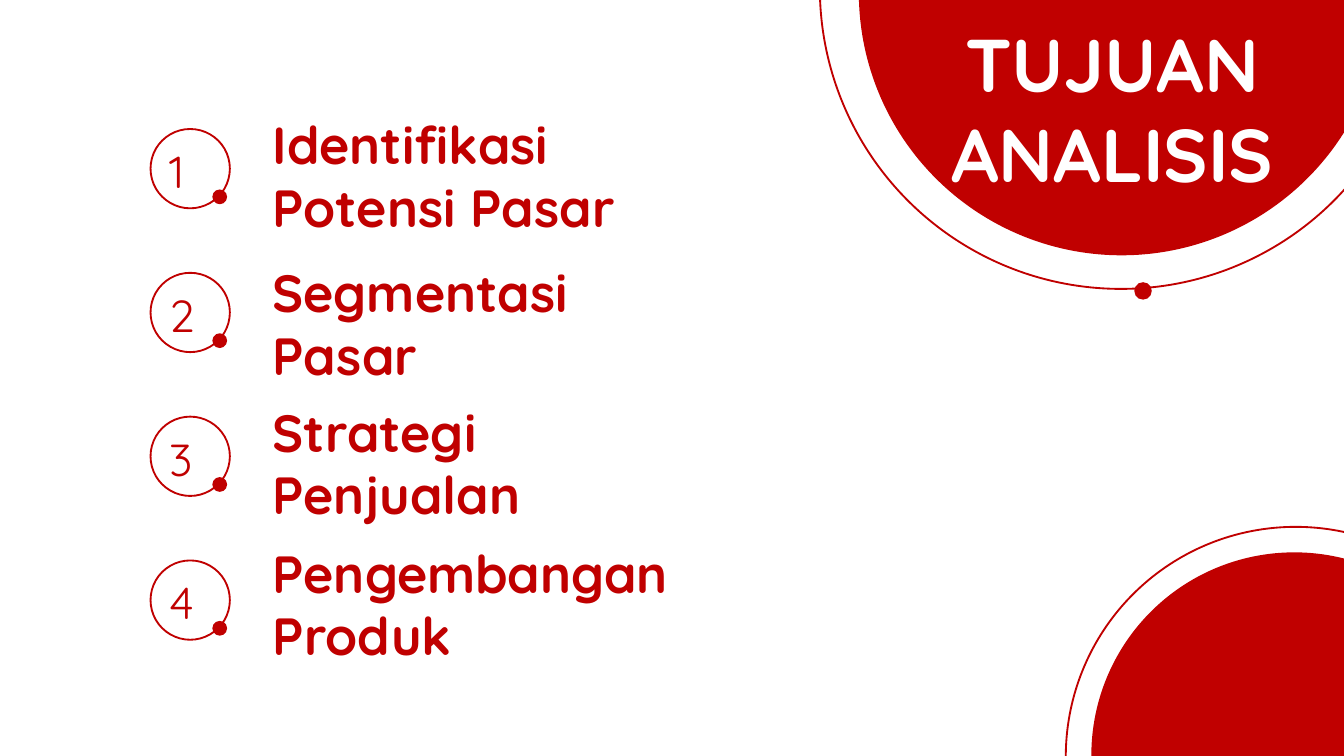
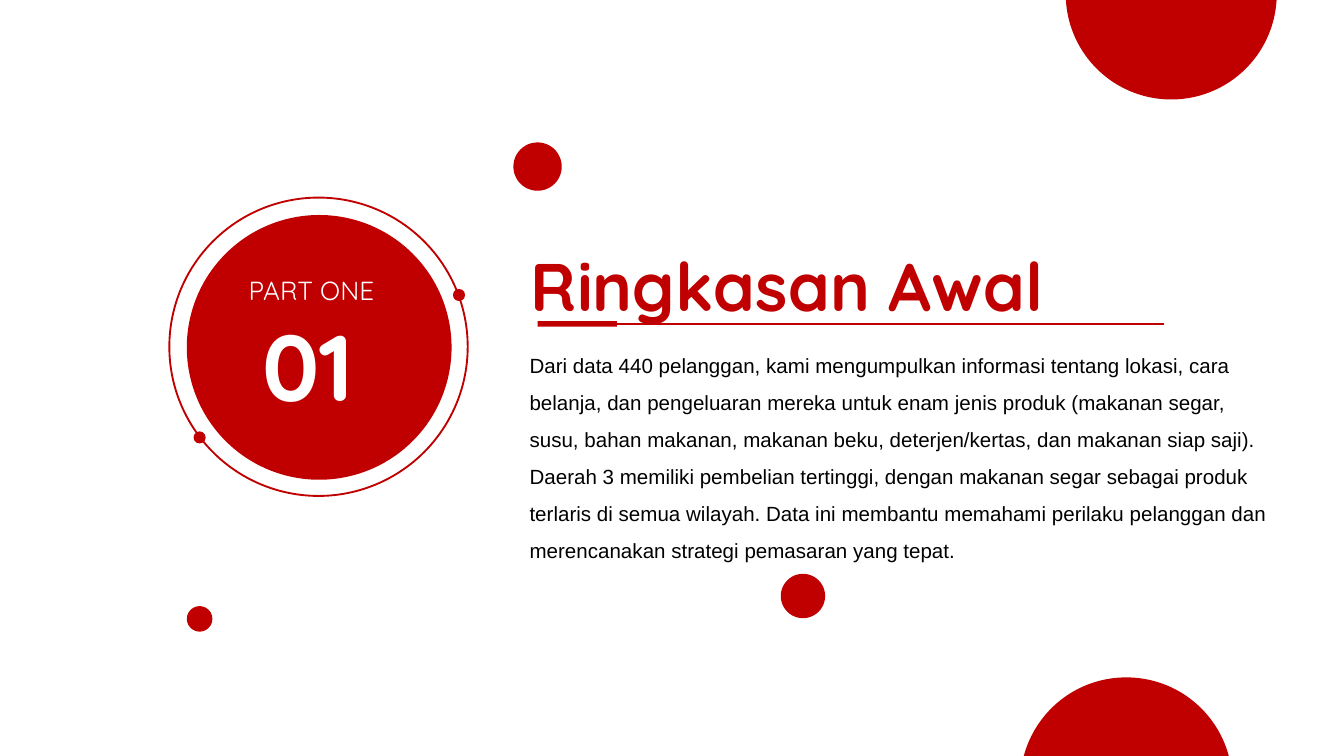
from lxml.etree import SubElement
from pptx import Presentation
from pptx.dml.color import RGBColor
from pptx.enum.shapes import MSO_CONNECTOR, MSO_SHAPE
from pptx.enum.text import MSO_ANCHOR, MSO_AUTO_SIZE, PP_ALIGN
from pptx.oxml.ns import qn
from pptx.util import Inches, Pt

RED, WHITE, BLACK = "C00000", "FFFFFF", "000000"
HEADING_FONT, BODY_FONT = "Quicksand", "Arial"
color = RGBColor.from_string


def circle(slide, left, top, size, filled=True):
    """Draw a solid red disc, or a thin red ring."""
    shape = slide.shapes.add_shape(MSO_SHAPE.OVAL, Inches(left), Inches(top),
                                   Inches(size), Inches(size))
    shape.shadow.inherit = False
    if filled:
        shape.fill.solid()
        shape.fill.fore_color.rgb = color(RED)
        shape.line.fill.background()
    else:
        shape.fill.background()
        shape.line.color.rgb = color(RED)
        shape.line.width = Pt(1)


def write(shape, box, text, size, hue, bold=False, align=PP_ALIGN.LEFT,
          font=HEADING_FONT, inset=0.07):
    """Place a text box or placeholder and set its only paragraph."""
    shape.left, shape.top, shape.width, shape.height = map(Inches, box)
    frame = shape.text_frame
    frame.text = text
    frame.word_wrap = True
    frame.auto_size = MSO_AUTO_SIZE.NONE
    frame.vertical_anchor = MSO_ANCHOR.TOP
    frame.margin_left = frame.margin_right = Inches(inset)
    frame.margin_top = frame.margin_bottom = Inches(inset / 2)
    paragraph = frame.paragraphs[0]
    paragraph.alignment = align
    paragraph.space_before = Pt(0)
    paragraph.font.name = font
    paragraph.font.size = Pt(size)
    paragraph.font.bold = bold
    paragraph.font.color.rgb = color(hue)
    return paragraph


# Widescreen, 16:9
prs = Presentation()
prs.slide_width, prs.slide_height = Inches(10), Inches(10 * 9 / 16)
content_layout, title_only_layout = prs.slide_layouts[1], prs.slide_layouts[5]

# Slide 1: goals of the analysis
goals = prs.slides.add_slide(title_only_layout)

# Title on the large disc
circle(goals, 6.39, -2.01, 3.91)
circle(goals, 8.44, 2.1, 0.13)
circle(goals, 6.1, -2.33, 4.48, filled=False)
goals_title = goals.shapes.title
write(goals_title, (6.75, 0.1, 3.05, 0.75), "TUJUAN ANALISIS", 40, WHITE,
      bold=True, align=PP_ALIGN.CENTER)
goals.shapes.element.append(goals_title.element)  # in front of the disc

# Numbered goals
goal_items = [
    ("Identifikasi Potensi Pasar", 0.8),
    ("Segmentasi Pasar", 1.9),
    ("Strategi Penjualan", 2.94),
    ("Pengembangan Produk", 3.99),
]
for index, (goal, goal_top) in enumerate(goal_items):
    ring_top = 0.96 + 1.07 * index
    number = goals.shapes.add_textbox(0, 0, 0, 0)
    write(number, (1.16, ring_top + 0.06, 0.52, 0.5), str(index + 1), 24, RED,
          align=PP_ALIGN.JUSTIFY, inset=0.1)
    circle(goals, 1.12, ring_top, 0.59, filled=False)
    circle(goals, 1.58, ring_top + 0.45, 0.11)
    label = goals.shapes.add_textbox(0, 0, 0, 0)
    write(label, (1.96, goal_top, 3.16, 0.61), goal, 28, RED, bold=True)

# Corner disc
circle(goals, 8.12, 4.11, 3.02)
circle(goals, 7.93, 3.92, 3.42, filled=False)

# Slide 2: opening summary
summary = prs.slides.add_slide(content_layout)

# Part badge
circle(summary, 1.39, 1.6, 1.97)
circle(summary, 3.37, 2.15, 0.09)
circle(summary, 1.26, 1.47, 2.22, filled=False)
circle(summary, 1.44, 3.21, 0.09)
part_name = summary.shapes.add_textbox(0, 0, 0, 0)
write(part_name, (1.78, 2.01, 1.5, 0.31), "PART ONE", 14, WHITE,
      align=PP_ALIGN.JUSTIFY)
part_number = summary.shapes.add_textbox(0, 0, 0, 0)
write(part_number, (1.88, 2.26, 0.97, 0.91), "01", 50, WHITE, bold=True,
      align=PP_ALIGN.JUSTIFY)

# Title and summary text
write(summary.shapes.title, (3.88, 1.78, 4.83, 0.68), "Ringkasan Awal", 36, RED,
      bold=True, align=PP_ALIGN.JUSTIFY)
summary_text = write(
    summary.placeholders[1], (3.87, 2.5, 5.71, 1.43),
    "Dari data 440 pelanggan, kami mengumpulkan informasi tentang lokasi, cara "
    "belanja, dan pengeluaran mereka untuk enam jenis produk (makanan segar, "
    "susu, bahan makanan, makanan beku, deterjen/kertas, dan makanan siap saji). "
    "Daerah 3 memiliki pembelian tertinggi, dengan makanan segar sebagai produk "
    "terlaris di semua wilayah. Data ini membantu memahami perilaku pelanggan dan "
    "merencanakan strategi pemasaran yang tepat.",
    11, BLACK, font=BODY_FONT)
summary_text.line_spacing = 1.5
properties = summary_text._p.get_or_add_pPr()
properties.set("marL", "0")
properties.set("indent", "0")
properties.insert_element_before(
    SubElement(properties, qn("a:buNone")), "a:tabLst", "a:defRPr", "a:extLst")

# Scattered discs
for left, top, size in [(7.93, -0.83, 1.57), (7.59, 5.04, 1.58),
                        (3.82, 1.06, 0.36), (5.81, 4.27, 0.33),
                        (1.39, 4.51, 0.19)]:
    circle(summary, left, top, size)

# Rule under the title
accent = summary.shapes.add_shape(MSO_SHAPE.RECTANGLE, Inches(4), Inches(2.39),
                                  Inches(0.59), Inches(0.04))
accent.shadow.inherit = False
accent.fill.solid()
accent.fill.fore_color.rgb = color(RED)
accent.line.fill.background()
rule = summary.shapes.add_connector(MSO_CONNECTOR.STRAIGHT, Inches(4.59),
                                    Inches(2.41), Inches(8.66), Inches(2.41))
rule.begin_connect(accent, 3)
rule.line.color.rgb = color(RED)
rule.line.width = Pt(0.75)
SubElement(rule.element.spPr, qn("a:effectLst"))

prs.save("out.pptx")
